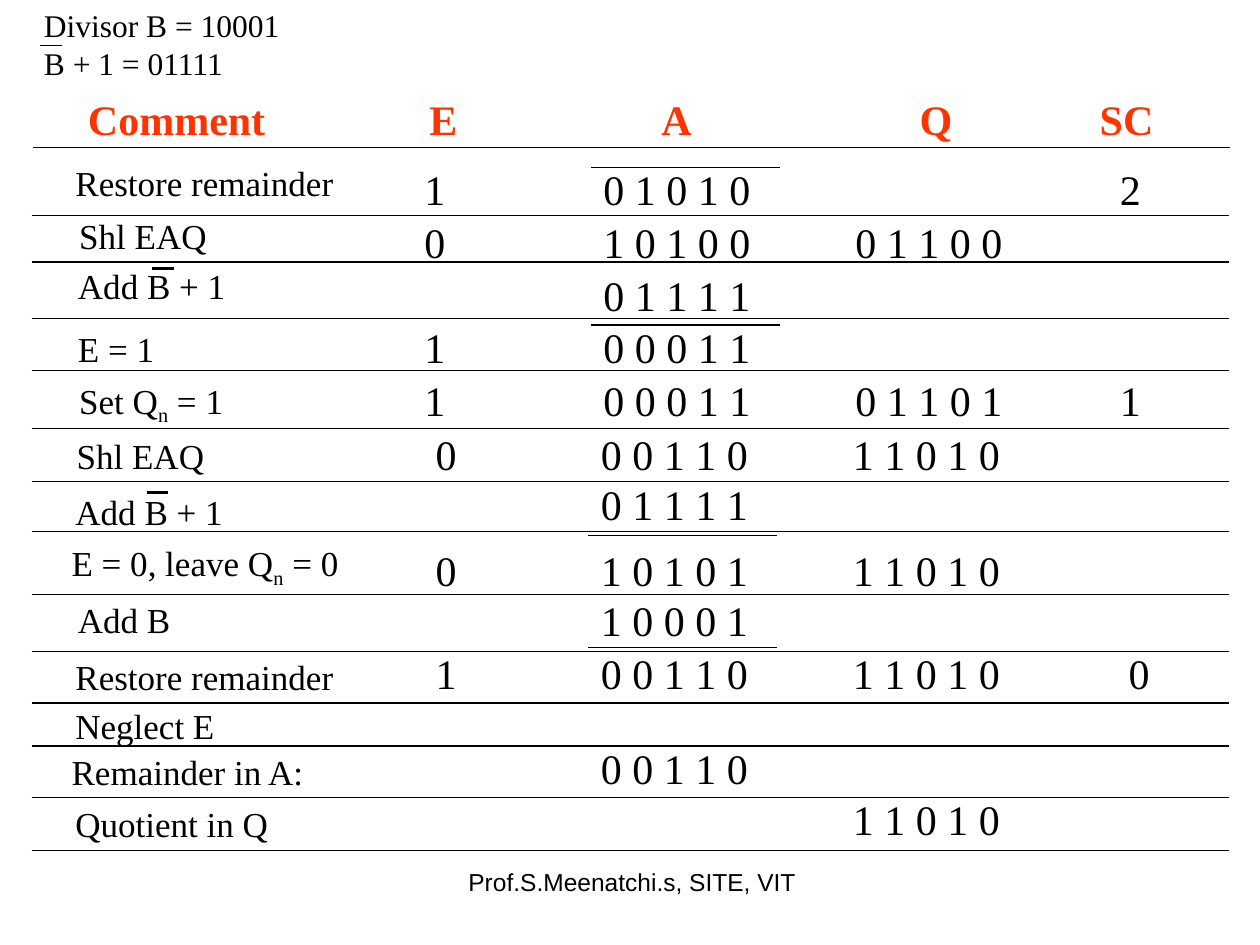
import pptx
import pptx.dml.color
import pptx.enum.shapes
import pptx.enum.text
import pptx.util
from lxml import etree

WIDTH, HEIGHT = pptx.util.Inches(10), pptx.util.Inches(7.5)
COLS, ROWS = 100, 75
SLACK = 0.25
SERIF = "Times New Roman"
BLACK, RED = "000000", "FF3300"

# Heading: left column, width, text
HEADINGS = [(33.1, 4.2, "E"), (51.5, 4.4, "A"), (72, 4.6, "Q"),
            (86.3, 6.2, "SC"), (6, 16, "Comment")]

# Register columns: E, A, Q, SC
FIRST_PASS = (32.7, 46.9, 66.9, 87.9)
SECOND_PASS = (33.6, 46.7, 66.7, 88.6)

# Step: comment left, top, width, text; register top, E, A, Q, SC; closing rule
FIRST_STEPS = [
    (5, 12.3, 22.5, "Restore remainder", 12.5, "1", "0 1 0 1 0", "", "2", 17.1),
    (5.3, 16.5, 12.1, "Shl EAQ", 16.7, "0", "1 0 1 0 0", "0 1 1 0 0", "", 20.8),
    (5.2, 20.5, 13.7, "Add B + 1", 20.9, "", "0 1 1 1 1", "", "", 25.3),
    (5.2, 25.5, 8, "E = 1", 25, "1", "0 0 0 1 1", "", "", 29.4),
    (5.3, 29.6, 13.4, "Set Q|n| = 1", 29.2, "1", "0 0 0 1 1", "0 1 1 0 1", "1", 34),
]
SECOND_STEPS = [
    (5.1, 34, 12.1, "Shl EAQ", 33.5, "0", "0 0 1 1 0", "1 1 0 1 0", "", 38.2),
    (5, 38.4, 13.7, "Add B + 1", 37.5, "", "0 1 1 1 1", "", "", 42.2),
    (4.7, 42.5, 23.2, "E = 0, leave Q|n| = 0", 42.7, "0", "1 0 1 0 1", "1 1 0 1 0", "", 47.2),
    (5.2, 47, 9.3, "Add B", 46.7, "", "1 0 0 0 1", "", "", 51.7),
    (5, 51.5, 22.5, "Restore remainder", 50.9, "1", "0 0 1 1 0", "1 1 0 1 0", "0", 55.8),
    (5, 55.4, 13, "Neglect E", 55.4, "", "", "", "", 59.2),
    (4.7, 59.1, 20.5, "Remainder in A:", 58.4, "", "0 0 1 1 0", "", "", 63.3),
    (5, 63.2, 17.3, "Quotient in Q", 62.5, "", "", "1 1 0 1 0", "", 67.5),
]

# Bar: left, top, length, line width
BARS = [(46.9, 13.3, 15, 0.75), (46.9, 25.8, 15, 0.75),
        (46.7, 42.5, 15, 0.75), (46.7, 51.4, 15, 0.75),
        (12.1, 21.3, 1.7, 1.5), (11.7, 39.1, 1.6, 1.5)]


def col(n):
    """Return the length of n grid columns."""
    return round(WIDTH * n / COLS)


def row(n):
    """Return the length of n grid rows."""
    return round(HEIGHT * n / ROWS)


def rgb(value):
    """Turn a hex string into a colour."""
    return pptx.dml.color.RGBColor.from_string(value)


def add_text(shapes, x, y, w, h, text, size, color=BLACK, bold=False, font=SERIF):
    """Add a text box with a little spare width; bars enclose subscripts."""
    sp = shapes.add_textbox(col(x), row(y), col(w + SLACK), row(h))
    tf = sp.text_frame
    tf.word_wrap = True
    for i, line in enumerate(text.split("\n")):
        p = tf.add_paragraph() if i else tf.paragraphs[0]
        p.font.name, p.font.size, p.font.bold = font, pptx.util.Pt(size), bold
        p.font.color.rgb = rgb(color)
        for j, part in enumerate(line.split("|")):
            r = p.add_run()
            r.text = part
            if j % 2:
                r._r.get_or_add_rPr().set("baseline", "-25000")
    return sp


def add_rule(shapes, x, y, length, width=0.75):
    """Add a horizontal black rule without a shadow."""
    sp = shapes.add_connector(pptx.enum.shapes.MSO_CONNECTOR.STRAIGHT,
                              col(x), row(y), col(x + length), row(y))
    sp.line.color.rgb = rgb(BLACK)
    sp.line.width = pptx.util.Pt(width)
    etree.SubElement(sp._element.spPr, pptx.oxml.ns.qn("a:effectLst"))


def add_step(shapes, step, columns):
    """Add one step of the division with its closing rule."""
    x, y, w, comment, top, *values, bottom = step
    add_text(shapes, x, y, w, 4.8 if "|" in comment else 4.4, comment, 20)
    for left, value in zip(columns, values):
        if value:
            add_text(shapes, left, top, 13.6 if " " in value else 3.6, 5, value, 24)
    add_rule(shapes, 2.5, bottom, 95)


def add_divisor(shapes):
    """Add the grouped divisor note with the bar over B."""
    group = shapes.add_group_shape().shapes
    add_text(group, 2.5, 0, 20.7, 7, "Divisor B = 10001\nB + 1 = 01111", 18)
    add_rule(group, 3.2, 3.6, 1.7)


def add_footer(shapes):
    """Add the centred footer."""
    sp = add_text(shapes, 34.2, 68.3, 31.7, 5.2, "Prof.S.Meenatchi.s, SITE, VIT",
                  14, font="Arial")
    sp.text_frame.paragraphs[0].alignment = pptx.enum.text.PP_ALIGN.CENTER


def main():
    """Build the division slide and save it."""
    prs = pptx.Presentation()
    prs.slide_width, prs.slide_height = WIDTH, HEIGHT
    shapes = prs.slides.add_slide(prs.slide_layouts[6]).shapes
    add_divisor(shapes)
    for x, w, heading in HEADINGS:
        add_text(shapes, x, 6.9, w, 5, heading, 24, RED, True)
    add_rule(shapes, 2.6, 11.7, 95)
    for steps, columns in ((FIRST_STEPS, FIRST_PASS), (SECOND_STEPS, SECOND_PASS)):
        for step in steps:
            add_step(shapes, step, columns)
    for bar in BARS:
        add_rule(shapes, *bar)
    add_footer(shapes)
    prs.save("out.pptx")


if __name__ == "__main__":
    main()
